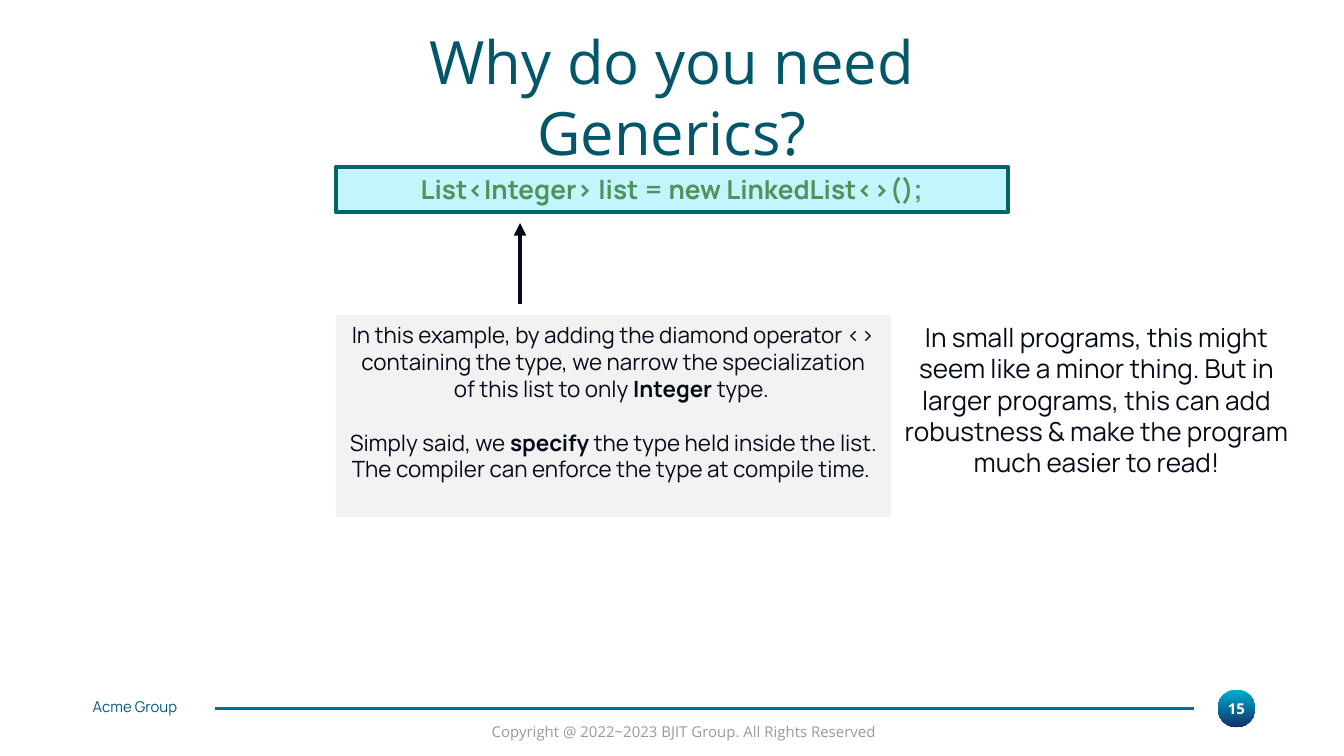
import pptx
import pptx.dml.color
import pptx.enum.shapes
import pptx.enum.text
import pptx.oxml
import pptx.oxml.ns
import pptx.util

Pt = pptx.util.Pt
ALIGN = pptx.enum.text.PP_ALIGN
SHAPES = pptx.enum.shapes.MSO_SHAPE

COLOURS = {
    "title": "005769", "ink": "050A19", "code": "4E9359",
    "code_fill": "C3F5FF", "code_line": "00666C", "panel": "F2F2F2",
    "rule": "006DA4", "footer": "005986", "copyright": "999999",
    "white": "FFFFFF", "badge_top": "00AFD2", "badge_bottom": "10316B",
}


def colour(name):
    return pptx.dml.color.RGBColor.from_string(COLOURS[name])


def write_text(shape, paragraphs, size=12, font="Manrope", ink="ink", bold=False,
               align=ALIGN.CENTER, gap=0, inset=None, wrap=True,
               anchor=pptx.enum.text.MSO_ANCHOR.TOP):
    """Fill a shape; each paragraph is a list of runs, where *text* is bold."""
    frame = shape.text_frame
    frame.word_wrap = wrap
    frame.auto_size = pptx.enum.text.MSO_AUTO_SIZE.NONE
    frame.vertical_anchor = anchor
    if inset is not None:
        frame.margin_left = frame.margin_right = Pt(inset)
        frame.margin_top = frame.margin_bottom = Pt(inset)
    for index, content in enumerate(paragraphs):
        paragraph = frame.add_paragraph() if index else frame.paragraphs[0]
        paragraph.alignment = align
        paragraph.space_before = Pt(gap if index else 0)
        for position, piece in enumerate(content.split("*")):
            run = paragraph.add_run()
            run.text = piece
            run.font.name = font
            run.font.size = Pt(size)
            run.font.bold = bold or position % 2 == 1
            run.font.color.rgb = colour(ink)


class SlideBuilder:
    def __init__(self, presentation):
        self.slide = presentation.slides.add_slide(presentation.slide_layouts[5])
        self.slide.background.fill.solid()
        self.slide.background.fill.fore_color.rgb = colour("white")

    def title(self, text, left, top, width, height):
        shape = self.slide.shapes.title
        shape.left, shape.top = Pt(left), Pt(top)
        shape.width, shape.height = Pt(width), Pt(height)
        write_text(shape, [text], size=32, font="Open Sans", ink="title")

    def text(self, paragraphs, left, top, width, height, **style):
        shape = self.slide.shapes.add_textbox(Pt(left), Pt(top), Pt(width), Pt(height))
        write_text(shape, paragraphs, **style)

    def box(self, left, top, width, height, fill, line=None, kind=SHAPES.RECTANGLE):
        shape = self.slide.shapes.add_shape(kind, Pt(left), Pt(top), Pt(width), Pt(height))
        shape.shadow.inherit = False
        if isinstance(fill, tuple):
            shape.fill.gradient()
            shape.fill.gradient_angle = 270
            for stop, name, position in zip(shape.fill.gradient_stops, fill, (0, 1)):
                stop.color.rgb = colour(name)
                stop.position = position
        else:
            shape.fill.solid()
            shape.fill.fore_color.rgb = colour(fill)
        if line:
            shape.line.color.rgb = colour(line)
            shape.line.width = Pt(2.25)
        else:
            shape.line.fill.background()
        return shape

    def line(self, start, end, ink, width, arrow=False):
        connector = self.slide.shapes.add_connector(
            pptx.enum.shapes.MSO_CONNECTOR.STRAIGHT,
            Pt(start[0]), Pt(start[1]), Pt(end[0]), Pt(end[1]))
        connector.line.color.rgb = colour(ink)
        connector.line.width = Pt(width)
        if arrow:
            head = pptx.oxml.parse_xml(
                f'<a:tailEnd {pptx.oxml.ns.nsdecls("a")} type="triangle"/>')
            connector.line._get_or_add_ln().append(head)
        connector._element.spPr.append(
            pptx.oxml.parse_xml(f'<a:effectLst {pptx.oxml.ns.nsdecls("a")}/>'))


def main():
    presentation = pptx.Presentation()
    presentation.slide_width, presentation.slide_height = Pt(720), Pt(405)
    builder = SlideBuilder(presentation)

    # Footer
    badge = builder.box(652.3, 369.4, 20.2, 20.2, ("badge_top", "badge_bottom"),
                        kind=SHAPES.OVAL)
    write_text(badge, ["15"], size=8, font="Open Sans", ink="white", bold=True,
               inset=0, anchor=pptx.enum.text.MSO_ANCHOR.MIDDLE)
    builder.line((639.4, 379.4), (115.2, 379.4), "rule", 1.5)
    builder.text(["Acme Group"], 49.7, 373.7, 69.8, 10, size=8, ink="footer",
                 align=ALIGN.LEFT, inset=0)
    builder.text(["Copyright @ 2022~2023 BJIT Group. All Rights Reserved"],
                 249.1, 383.8, 227.5, 17.3, size=8, font="Open Sans",
                 ink="copyright", align=ALIGN.RIGHT, wrap=False)

    # Title
    builder.title("Why do you need Generics?", 151.2, 9.4, 417.6, 46)

    # Code line with an arrow to its type argument
    code = builder.box(180, 89.3, 360, 24.5, "code_fill", "code_line")
    write_text(code, ["List<Integer> list = new LinkedList<>();"],
               size=14, ink="code", bold=True)
    builder.line((278.6, 162.7), (278.6, 119.5), "ink", 2.25, arrow=True)

    # Explanation and side remark
    panel = builder.box(180, 168.5, 297.4, 108.7, "panel")
    write_text(panel, [
        "In this example, by adding the diamond operator <> containing the type, "
        "we narrow the specialization of this list to only *Integer *type. ",
        "Simply said, we *specify *the type held inside the list. "
        "The compiler can enforce the type at compile time. ",
    ], gap=14.4)
    builder.text(["In small programs, this might seem like a minor thing. But in larger "
                  "programs, this can add robustness & make the program much easier to read!"],
                 476.6, 168.5, 221.8, 108.7, size=14)

    presentation.save("out.pptx")


if __name__ == "__main__":
    main()
